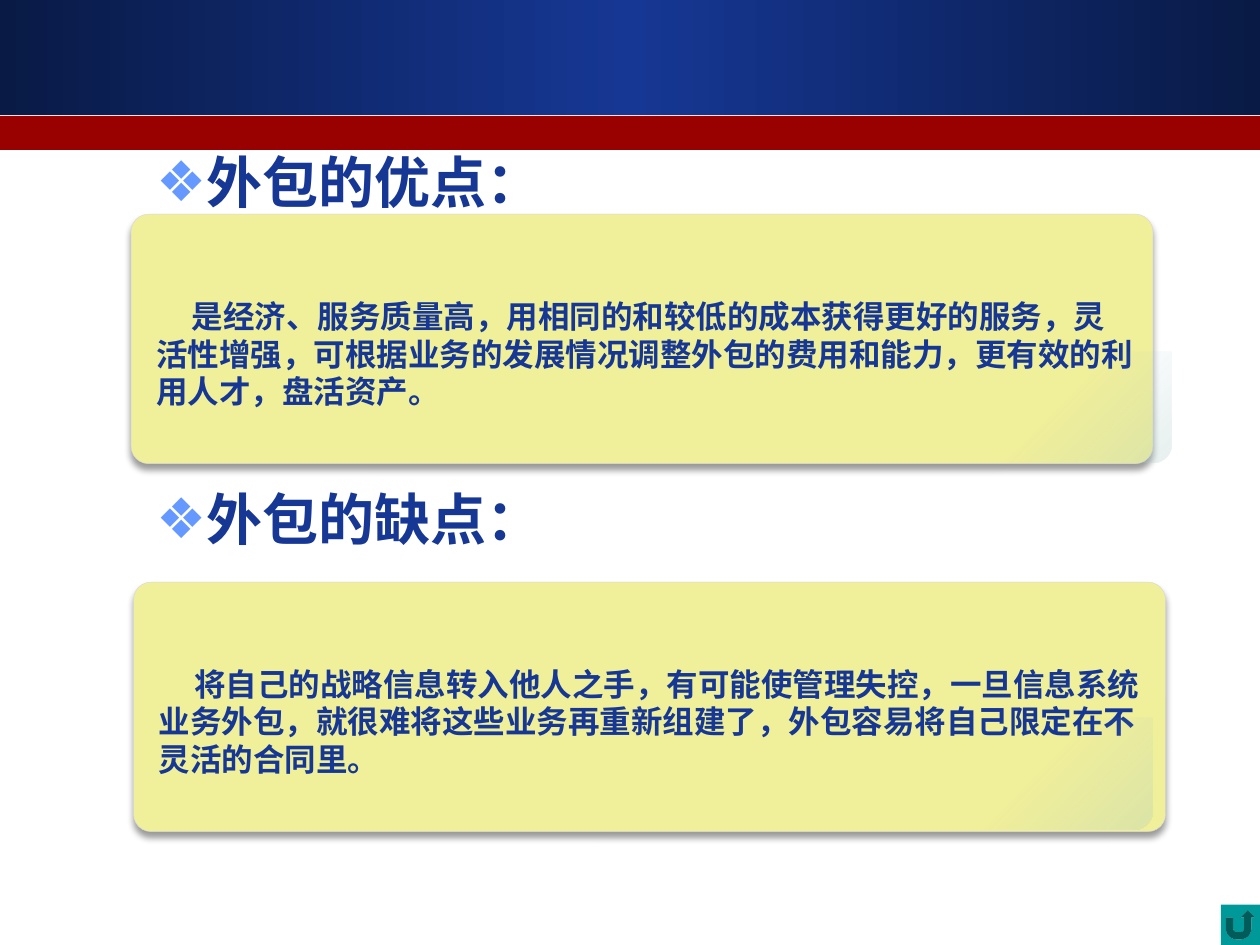
"""Build a slide on the advantages and drawbacks of outsourcing."""
from lxml import etree
from pptx import Presentation
from pptx.dml.color import RGBColor
from pptx.enum.shapes import MSO_SHAPE
from pptx.enum.text import MSO_ANCHOR, MSO_AUTO_SIZE, PP_ALIGN
from pptx.oxml import parse_xml
from pptx.util import Inches, Pt

RECT, ROUNDED = MSO_SHAPE.RECTANGLE, MSO_SHAPE.ROUNDED_RECTANGLE
DIAGONAL, RETURN = MSO_SHAPE.ROUND_2_DIAG_RECTANGLE, MSO_SHAPE.ACTION_BUTTON_RETURN
NS = 'xmlns:a="http://schemas.openxmlformats.org/drawingml/2006/main"'
NAVY, EDGE, RED, TEAL = "163794", "091A45", "990000", "009999"
YELLOW, OUTLINE, TINT, BULLET = "F0EF9A", "D9D9D9", "AACACA", "6699FF"


def color(value):
    return RGBColor.from_string(value)


def add_block(parent, kind, box, fill=None, stops=(), angle=0):
    block = parent.add_shape(kind, *map(Inches, box))
    block.shadow.inherit = False
    block.line.fill.background()
    if fill:
        block.fill.solid()
        block.fill.fore_color.rgb = color(fill)
    else:
        marks = "".join(
            f'<a:gs pos="{pos * 1000}"><a:srgbClr val="{tone}"><a:alpha val="{alpha * 1000}"/></a:srgbClr></a:gs>'
            for pos, tone, alpha in stops)
        block.fill.background()
        old = block._element.spPr.find("{*}noFill")
        block._element.spPr.replace(old, parse_xml(
            f'<a:gradFill {NS} rotWithShape="1"><a:gsLst>{marks}</a:gsLst>'
            f'<a:lin ang="{angle * 60000}" scaled="0"/></a:gradFill>'))
    return block


prs = Presentation()
prs.slide_width, prs.slide_height = Inches(10), Inches(7.5)
slide = prs.slides.add_slide(prs.slide_layouts[1])
title = slide.shapes.title._element
title.getparent().remove(title)

banner_stops = [(0, EDGE, 100), (50, NAVY, 100), (100, EDGE, 100)]
add_block(slide.shapes, RECT, (0, 0, 10, 0.91), stops=banner_stops)
add_block(slide.shapes, RECT, (0, 0.92, 10, 0.27), RED)

headings = slide.placeholders[1]
headings.left, headings.top = Inches(1.14), Inches(1.23)
headings.width, headings.height = Inches(8.35), Inches(5.43)
frame = headings.text_frame
frame.auto_size = MSO_AUTO_SIZE.NONE
frame.vertical_anchor = MSO_ANCHOR.TOP
frame.margin_top = 0
for number, (heading, gap) in enumerate([("外包的优点：", 0), ("外包的缺点：", 158)]):
    paragraph = frame.paragraphs[0] if number == 0 else frame.add_paragraph()
    props = paragraph._p.get_or_add_pPr()
    props.set("marL", str(Inches(0.38)))
    props.set("indent", str(Inches(-0.38)))
    for bullet_part in (f'<a:buClr {NS}><a:srgbClr val="{BULLET}"/></a:buClr>',
                        f'<a:buChar {NS} char="❖"/>'):
        props.append(parse_xml(bullet_part))
    paragraph.line_spacing, paragraph.space_before = 0.9, Pt(gap)
    run = paragraph.add_run()
    run.text = heading
    run.font.color.rgb = color(NAVY)
    for key, value in {"name": "Noto Sans CJK SC", "size": Pt(32), "bold": True}.items():
        setattr(run.font, key, value)

cards = [
    ((1.04, 1.7, 8.11, 1.98), (7.43, 2.79, 1.87, 0.88),
     "是经济、服务质量高，用相同的和较低的成本获得更好的服务，灵活性增强，可根据业务的发展情况调整外包的费用和能力，更有效的利用人才，盘活资产。"),
    ((1.06, 4.62, 8.19, 1.98), (7.26, 5.7, 1.89, 0.88),
     "将自己的战略信息转入他人之手，有可能使管理失控，一旦信息系统业务外包，就很难将这些业务再重新组建了，外包容易将自己限定在不灵活的合同里。"),
]
card_format = {"word_wrap": True, "vertical_anchor": MSO_ANCHOR.MIDDLE,
               "margin_left": Inches(0.16), "margin_top": Inches(0.28),
               "margin_right": Inches(0.1), "margin_bottom": Inches(0.05)}
for card_box, corner_box, statement in cards:
    group = slide.shapes.add_group_shape()
    card = add_block(group.shapes, ROUNDED, card_box, YELLOW)
    card.adjustments[0] = 0.07
    card.line.color.rgb = color(OUTLINE)
    card.line.width = Pt(0.25)
    effects = card._element.spPr.find("{*}effectLst")
    effects.append(etree.fromstring(
        f'<a:outerShdw {NS} blurRad="{Pt(4)}" dist="{Pt(3)}" dir="5400000" rotWithShape="0">'
        '<a:srgbClr val="000000"><a:alpha val="40000"/></a:srgbClr></a:outerShdw>'))
    for key, value in card_format.items():
        setattr(card.text_frame, key, value)
    paragraph = card.text_frame.paragraphs[0]
    paragraph.alignment = PP_ALIGN.LEFT
    paragraph._p.get_or_add_pPr().set("indent", str(Inches(0.28)))
    run = paragraph.add_run()
    run.text = statement
    run.font.color.rgb = color(NAVY)
    for key, value in {"name": "Arial", "size": Pt(18), "bold": True}.items():
        setattr(run.font, key, value)
    corner = add_block(group.shapes, DIAGONAL, corner_box,
                       stops=[(51, TINT, 0), (100, TINT, 29)], angle=45)
    corner.adjustments[0] = 0.17

add_block(slide.shapes, RETURN, (9.69, 7.18, 0.31, 0.32), TEAL)

prs.save("out.pptx")
